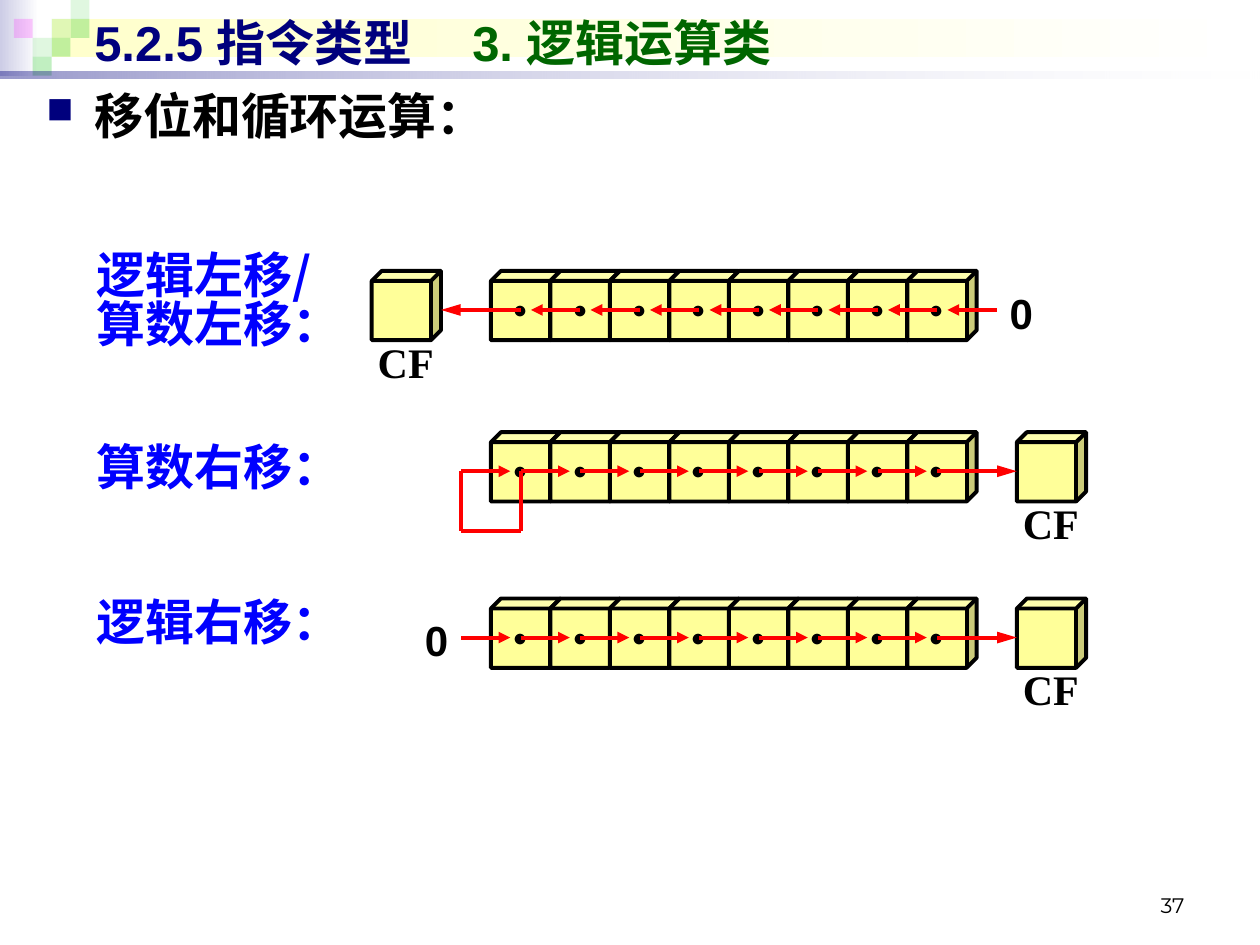
from pptx import Presentation
from pptx.dml.color import RGBColor
from pptx.enum.shapes import MSO_CONNECTOR, MSO_SHAPE
from pptx.enum.text import MSO_ANCHOR, PP_ALIGN
from pptx.oxml.ns import qn
from pptx.util import Inches, Pt
from lxml.etree import SubElement

CHINESE_FONT = "Noto Sans CJK SC"
NAVY, GREEN, BLUE, RED = "00007D", "006600", "0000FF", "FF0000"
BLACK, WHITE, YELLOW = "000000", "FFFFFF", "FFFF99"

# Register grid: one column per bit, arrows start at the column edges
BITS = 8
GRID_LEFT, GRID_RIGHT = 3.66, 7.91
PITCH = (GRID_RIGHT - GRID_LEFT) / (BITS + 1)
CUBE_LEFT = GRID_LEFT + PITCH / 2
CUBE_SIZE = 0.55
ARROW_LENGTH = 0.39
ARROW_DROP = 0.31  # from cube top to the centre of its front face
CARRY_LEFT, CARRY_RIGHT = 2.95, 8.07


def color(value):
    return RGBColor.from_string(value)


def add_block(slide, box, colors, alphas):
    """Borderless rectangle: one colour is solid, two make a gradient."""
    shape = slide.shapes.add_shape(MSO_SHAPE.RECTANGLE, *map(Inches, box))
    shape.shadow.inherit = False
    shape.line.fill.background()
    if len(colors) == 1:
        shape.fill.solid()
        shape.fill.fore_color.rgb = color(colors[0])
    else:
        shape.fill.gradient()
        shape.fill.gradient_angle = 0
        for stop, value in zip(shape.fill.gradient_stops, colors):
            stop.color.rgb = color(value)
    for element, alpha in zip(shape._element.spPr.iter(qn("a:srgbClr")), alphas):
        if alpha < 100:
            SubElement(element, qn("a:alpha")).set("val", str(alpha * 1000))


def set_chinese_font(run):
    SubElement(run._r.get_or_add_rPr(), qn("a:ea")).set("typeface", CHINESE_FONT)


def style_font(paragraph, size, font, value, bold=True):
    paragraph.font.size = Pt(size)
    paragraph.font.name = font
    paragraph.font.bold = bold
    paragraph.font.color.rgb = color(value)
    for run in paragraph.runs:
        set_chinese_font(run)


def add_text(slide, box, lines, size, font, value, align=PP_ALIGN.LEFT,
             anchor=MSO_ANCHOR.TOP, bold=True, spacing=None, top_inset=0.05):
    frame = slide.shapes.add_textbox(*map(Inches, box)).text_frame
    frame.word_wrap = True
    frame.vertical_anchor = anchor
    frame.margin_top = Inches(top_inset)
    frame.text = "\n".join(lines)
    for paragraph in frame.paragraphs:
        paragraph.alignment = align
        if spacing:
            paragraph.line_spacing = spacing
        style_font(paragraph, size, font, value, bold)
    return frame.paragraphs[0]


def add_heading(slide, box, lines, font, value):
    return add_text(slide, box, lines, 28, font, value, spacing=0.83, top_inset=0.08)


def add_bullet(paragraph):
    properties = paragraph._p.get_or_add_pPr()
    properties.set("marL", str(Inches(0.38)))
    properties.set("indent", str(-Inches(0.38)))
    bullet_color = properties.makeelement(qn("a:buClr"), {})
    SubElement(bullet_color, qn("a:srgbClr")).set("val", NAVY)
    bullet_size = properties.makeelement(qn("a:buSzPct"), {"val": "75000"})
    bullet = properties.makeelement(qn("a:buChar"), {"char": "■"})
    defaults = properties.find(qn("a:defRPr"))
    for element in (bullet_color, bullet_size, bullet):
        defaults.addprevious(element)


def add_cube(slide, left, top, text=""):
    cube = slide.shapes.add_shape(
        MSO_SHAPE.CUBE, *map(Inches, (left, top, CUBE_SIZE, CUBE_SIZE)))
    cube.shadow.inherit = False
    cube.adjustments[0] = 0.145
    cube.fill.solid()
    cube.fill.fore_color.rgb = color(YELLOW)
    cube.line.color.rgb = color(BLACK)
    cube.line.width = Pt(2.25)
    if text:
        frame = cube.text_frame
        frame.word_wrap = False
        frame.vertical_anchor = MSO_ANCHOR.MIDDLE
        frame.text = text
        frame.paragraphs[0].alignment = PP_ALIGN.CENTER
        style_font(frame.paragraphs[0], 24, CHINESE_FONT, BLACK)


def add_line(slide, start, end, head_length=None):
    line = slide.shapes.add_connector(
        MSO_CONNECTOR.STRAIGHT, *map(Inches, (*start, *end)))
    line.line.color.rgb = color(RED)
    line.line.width = Pt(2.25)
    properties = line._element.spPr
    if head_length:
        head = SubElement(properties.find(qn("a:ln")), qn("a:tailEnd"))
        head.set("type", "triangle")
        head.set("len", head_length)
    SubElement(properties, qn("a:effectLst"))


def add_register(slide, top, to_left=False):
    """Eight bit cubes, the carry flag and the arrows of one shift."""
    for bit in range(BITS):
        add_cube(slide, CUBE_LEFT + bit * PITCH, top, "·")
    carry_left = CARRY_LEFT if to_left else CARRY_RIGHT
    add_cube(slide, carry_left, top)
    add_text(slide, (carry_left - 0.16, top + 0.47, 0.86, 0.5), ["CF"], 24,
             "Times New Roman", BLACK, PP_ALIGN.CENTER)

    middle = top + ARROW_DROP
    direction = -1 if to_left else 1
    first = GRID_RIGHT if to_left else GRID_LEFT
    for step in range(BITS):
        start = first + direction * step * PITCH
        add_line(slide, (start, middle), (start + direction * ARROW_LENGTH, middle), "med")
    carry_edge = CARRY_LEFT + CUBE_SIZE if to_left else CARRY_RIGHT
    add_line(slide, (first + direction * BITS * PITCH, middle), (carry_edge, middle), "lg")


def add_zero(slide, left, top):
    add_text(slide, (left, top, 0.55, 0.5), ["0"], 24, "Arial", BLACK, PP_ALIGN.CENTER)


def add_sign_loop(slide, top):
    """The sign bit is fed back into the register."""
    middle = top + ARROW_DROP
    right, bottom = GRID_LEFT + PITCH, middle + PITCH
    corners = [(right, middle), (right, bottom), (GRID_LEFT, bottom), (GRID_LEFT, middle)]
    for start, end in zip(corners, corners[1:]):
        add_line(slide, start, end)


def add_decoration(slide):
    add_block(slide, (0, 0, 0.31, 0.6), ["CDCDE6", WHITE], [100, 100])
    add_block(slide, (0.41, 0.15, 9.55, 0.3), ["FFFFCC", WHITE], [100, 100])
    tile = 0.15
    tiles = [(2, 1, "33CC33", 15), (3, 0, "33CC33", 15), (3, 1, "33CC33", 30),
             (1, 2, "33CC33", 15), (0, 1, "FF00FF", 20), (2, 2, "33CC33", 30),
             (1, 3, "33CC33", 30)]
    for column, row, value, alpha in tiles:
        add_block(slide, (0.11 + column * tile, row * tile, tile, tile), [value], [alpha])
    add_block(slide, (0, 0.57, 10, 0.05), [NAVY, WHITE], [40, 10])


def main():
    presentation = Presentation()
    presentation.slide_width, presentation.slide_height = Inches(10), Inches(7.5)
    slide = presentation.slides.add_slide(presentation.slide_layouts[6])

    # Header, title and page number
    add_decoration(slide)
    add_text(slide, (7.17, 6.83, 2.33, 0.5), ["37"], 12, "Montserrat", BLACK,
             PP_ALIGN.RIGHT, MSO_ANCHOR.BOTTOM, bold=False)
    title = add_text(slide, (0.65, 0.05, 9.23, 0.57), ["5.2.5 指令类型\t"],
                     28, "Arial", NAVY, anchor=MSO_ANCHOR.MIDDLE)
    topic = title.add_run()
    topic.text = "3. 逻辑运算类"
    topic.font.color.rgb = color(GREEN)
    set_chinese_font(topic)

    add_bullet(add_heading(slide, (0.27, 0.68, 9.37, 0.63), ["移位和循环运算："],
                           "Times New Roman", BLACK))

    # Shift left
    add_register(slide, 2.15, to_left=True)
    add_zero(slide, 7.83, 2.23)
    # Arithmetic shift right
    add_register(slide, 3.43)
    add_sign_loop(slide, 3.43)
    # Logical shift right
    add_register(slide, 4.75)
    add_zero(slide, 3.19, 4.83)

    # Row labels
    labels = [(1.94, 1.03, ["逻辑左移/", "算数左移："]),
              (3.46, 0.57, ["算数右移："]), (4.69, 0.57, ["逻辑右移："])]
    for top, height, lines in labels:
        add_heading(slide, (0.67, top, 2.36, height), lines, CHINESE_FONT, BLUE)

    presentation.save("out.pptx")


if __name__ == "__main__":
    main()
